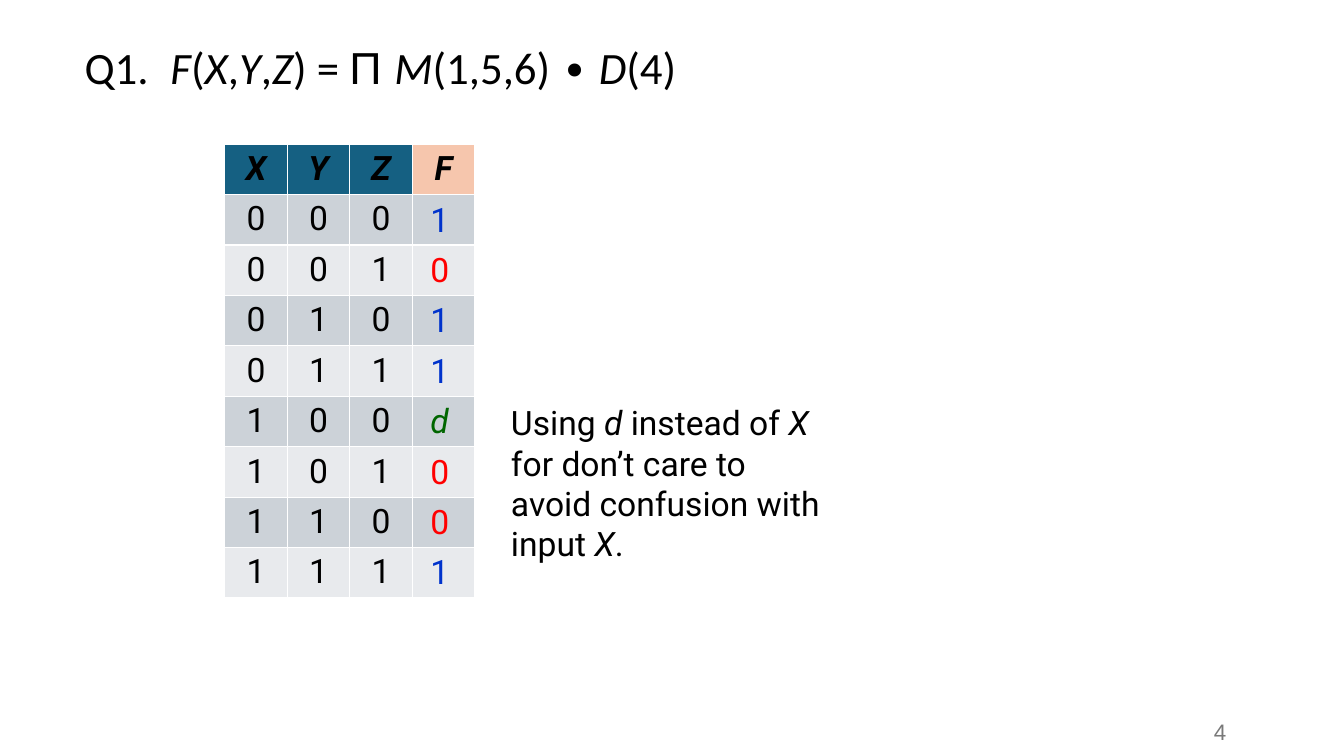
from pptx import Presentation
from pptx.dml.color import RGBColor
from pptx.enum.text import MSO_ANCHOR, MSO_AUTO_SIZE, PP_ALIGN
from pptx.util import Inches, Pt

LEFT, CENTER, RIGHT = PP_ALIGN.LEFT, PP_ALIGN.CENTER, PP_ALIGN.RIGHT
TOP, MIDDLE = MSO_ANCHOR.TOP, MSO_ANCHOR.MIDDLE
NO_AUTOFIT = MSO_AUTO_SIZE.NONE

BLACK = RGBColor(0x00, 0x00, 0x00)
GRAY = RGBColor(0x79, 0x79, 0x79)
TEAL = RGBColor(0x15, 0x60, 0x82)
PEACH = RGBColor(0xF6, 0xC6, 0xAD)
DARK_BAND = RGBColor(0xCC, 0xD2, 0xD8)
LIGHT_BAND = RGBColor(0xE8, 0xEA, 0xED)
BLUE = RGBColor(0x00, 0x33, 0xCC)
RED = RGBColor(0xFF, 0x00, 0x00)
GREEN = RGBColor(0x00, 0x66, 0x00)


def write(frame, parts, font, size, color=BLACK, align=LEFT, bold=False):
    """Fill the first paragraph with (text, italic) runs."""
    paragraph = frame.paragraphs[0]
    paragraph.alignment = align
    for text, italic in parts:
        run = paragraph.add_run()
        run.text = text
        run.font.name = font
        run.font.size = Pt(size)
        run.font.color.rgb = color
        run.font.bold = bold
        run.font.italic = italic


def add_text(left, top, width, height, parts, font, size, **style):
    box = slide.shapes.add_textbox(Inches(left), Inches(top), Inches(width), Inches(height))
    box.text_frame.word_wrap = True
    write(box.text_frame, parts, font, size, **style)
    return box.text_frame


prs = Presentation()
prs.slide_width, prs.slide_height = Inches(13.33), Inches(7.5)
slide = prs.slides.add_slide(prs.slide_layouts[5])

# Question number and function
add_text(0.74, 0.34, 0.85, 0.72, [("Q1.", False)], "Calibri", 32)
function = slide.shapes.title
function.left, function.top = Inches(1.59), Inches(0.34)
function.width, function.height = Inches(6.35), Inches(0.64)
function.text_frame.vertical_anchor = TOP
function.text_frame.auto_size = NO_AUTOFIT
write(function.text_frame,
      [("F", True), ("(", False), ("X", True), (",", False), ("Y", True), (",", False),
       ("Z", True), (") = ", False), ("Π ", False), ("M", True), ("(1,5,6) ∙ ", False),
       ("D", True), ("(4)", False)], "Calibri", 32)
function.text_frame.paragraphs[0].runs[8].font.name = "Arial"

# Slide number
page_number = add_text(10.83, 7.06, 1.43, 0.4, [("4", False)], "Arial", 16,
                       color=GRAY, align=RIGHT)
page_number.vertical_anchor = MIDDLE

# Truth table: inputs count up in binary
ROW_HEIGHT, COLUMN_WIDTH = 0.5, 0.62
truth_table = slide.shapes.add_table(9, 4, Inches(2.23), Inches(1.43),
                                     Inches(4 * COLUMN_WIDTH), Inches(9 * ROW_HEIGHT)).table
for column in truth_table.columns:
    column.width = Inches(COLUMN_WIDTH)
rows = ["XYZF"] + [f"{number:03b}" for number in range(8)]
for r, values in enumerate(rows):
    truth_table.rows[r].height = Inches(ROW_HEIGHT)
    header = r == 0
    for c in range(4):
        cell = truth_table.cell(r, c)
        cell.fill.solid()
        if header:
            cell.fill.fore_color.rgb = PEACH if c == 3 else TEAL
        else:
            cell.fill.fore_color.rgb = DARK_BAND if r % 2 else LIGHT_BAND
        if c < len(values):
            write(cell.text_frame, [(values[c], header)], "Roboto", 24,
                  align=CENTER, bold=header)

# Output values over the F column
OUTPUT_COLORS = {"1": BLUE, "0": RED, "d": GREEN}
for number, output in enumerate("1011d001"):
    add_text(4.17, 1.92 + number * ROW_HEIGHT, 0.38, 0.5, [(output, output == "d")],
             "Roboto", 24, color=OUTPUT_COLORS[output], align=CENTER)

# Remark on the don't-care symbol
add_text(4.97, 3.94, 3.4, 1.31,
         [("Using ", False), ("d", True), (" instead of ", False), ("X", True),
          (" for don’t care to avoid confusion with input ", False), ("X", True),
          (".", False)], "Roboto", 24)

prs.save("out.pptx")
